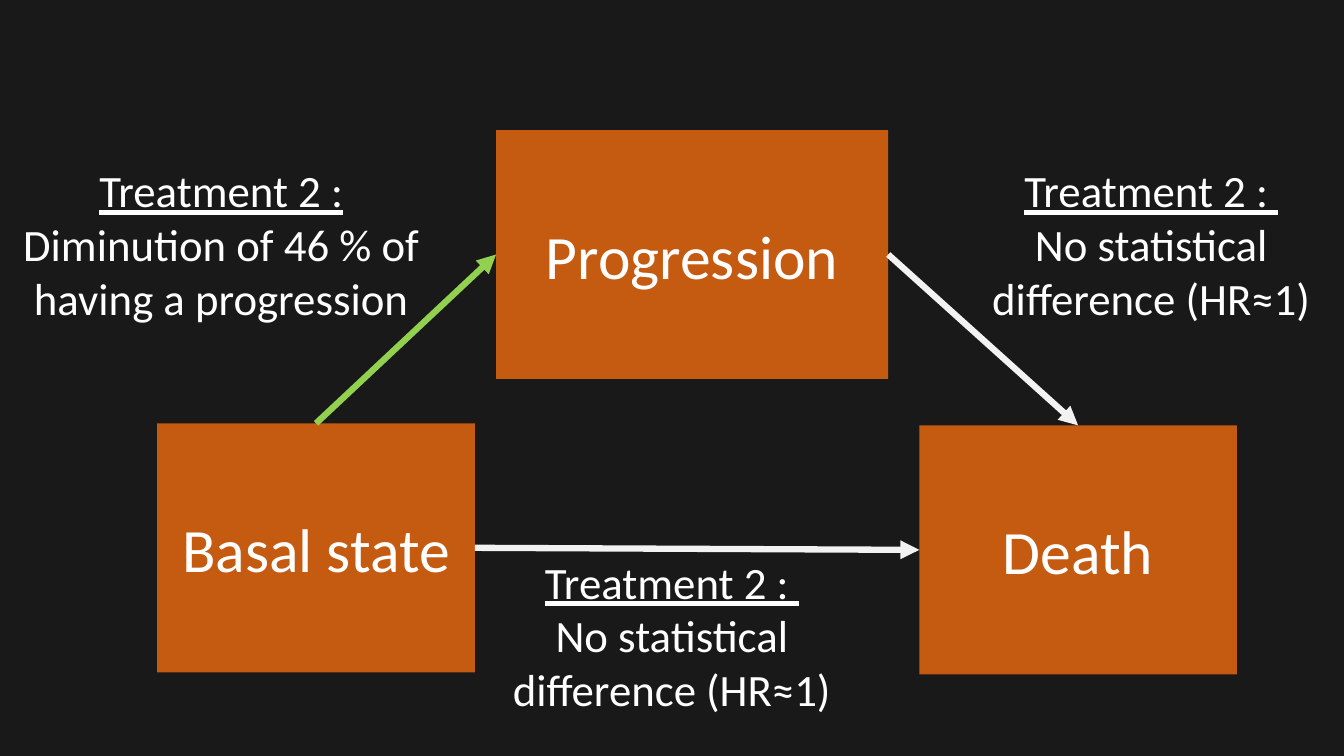
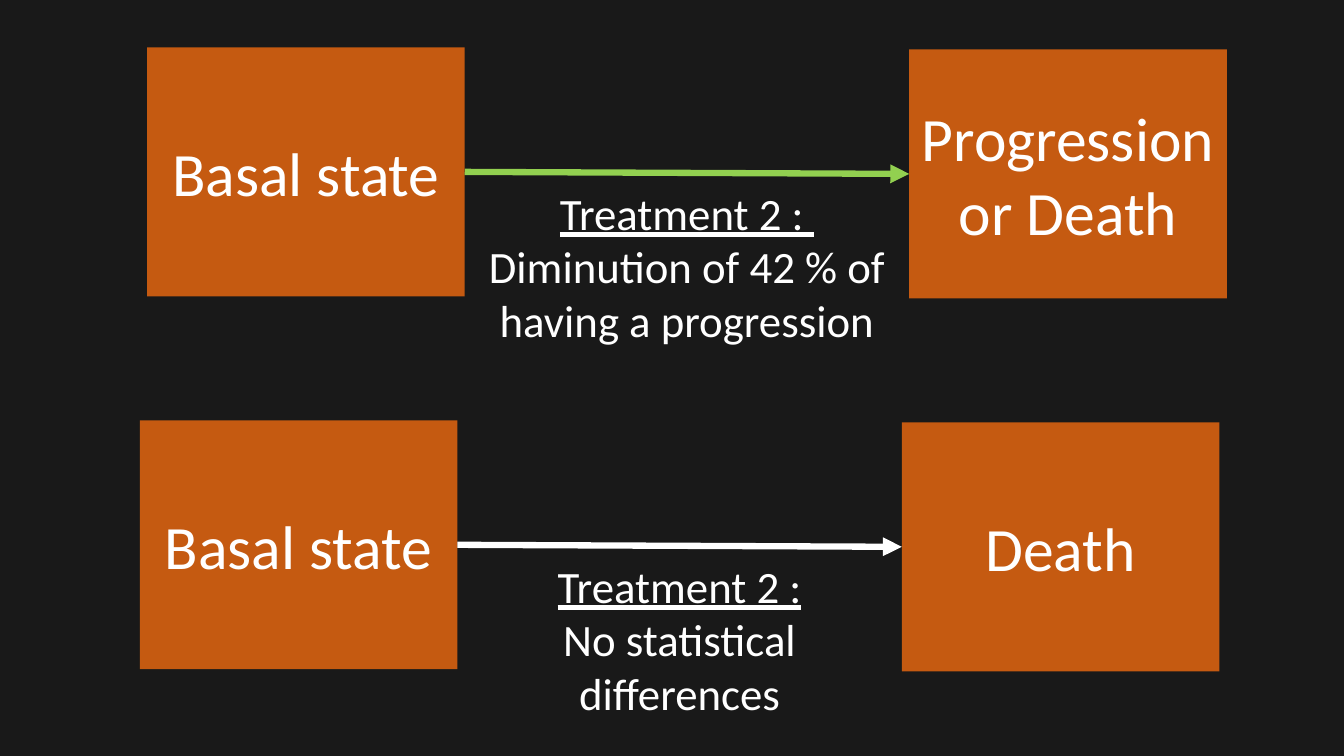
from dataclasses import dataclass

from lxml import etree
from pptx import Presentation
from pptx import util as u
from pptx.dml.color import RGBColor
from pptx.enum import shapes, text
from pptx.oxml.ns import qn

# Shared style
BACKGROUND, ORANGE, WHITE, PALE, GREEN = "191919", "C55A11", "FFFFFF", "F2F2F2", "92D050"
FONT = "Calibri"
SLIDE_W, SLIDE_H = u.Inches(13.33), u.Inches(7.5)

# Lengths are percentages of the slide's width (x) and height (y)
BOX_W, BOX_H = 23.63, 32.93
OUTCOME_DX, OUTCOME_DY = 56.7, 0.27
NOTE_DY, NOTE_W, NOTE_H = 17.6, 33.08, 22.93

# Connection sites of a rectangle
TOP, LEFT, RIGHT = 0, 1, 3


@dataclass
class State:
    label: str
    x: float
    y: float
    w: float = BOX_W


@dataclass
class Note:
    heading: str
    body: str
    x: float
    y: float
    w: float = NOTE_W


@dataclass
class Transition:
    outcome: str
    x: float
    y: float
    color: str
    note: Note


def rgb(value: str) -> RGBColor:
    return RGBColor.from_string(value)


def place(x: float, y: float, w: float, h: float) -> tuple:
    """Turn percentages of the slide into lengths."""
    return tuple(u.Emu(round(share * side / 100))
                 for share, side in zip((x, y, w, h), (SLIDE_W, SLIDE_H) * 2))


def write(p, content: str, *, size: int, color: str = WHITE, underline: bool = False) -> None:
    p.alignment = text.PP_ALIGN.CENTER
    r = p.add_run()
    r.text = content
    r.font.name, r.font.size = FONT, u.Pt(size)
    r.font.color.rgb = rgb(color)
    r.font.underline = underline


def add_state(slide, state: State):
    sp = slide.shapes.add_shape(shapes.MSO_SHAPE.RECTANGLE,
                                *place(state.x, state.y, state.w, BOX_H))
    sp.shadow.inherit = False
    sp.fill.solid()
    sp.fill.fore_color.rgb = rgb(ORANGE)
    sp.line.fill.background()
    tf = sp.text_frame
    tf.word_wrap = True
    tf.vertical_anchor = text.MSO_ANCHOR.MIDDLE
    write(tf.paragraphs[0], state.label, size=44)
    return sp


def add_note(slide, note: Note) -> None:
    tf = slide.shapes.add_textbox(*place(note.x, note.y, note.w, NOTE_H)).text_frame
    tf.word_wrap = True
    tf.auto_size = text.MSO_AUTO_SIZE.SHAPE_TO_FIT_TEXT
    write(tf.paragraphs[0], note.heading, size=32, underline=True)
    write(tf.add_paragraph(), note.body, size=32)


def add_arrow(slide, start, start_site: int, end, end_site: int, color: str) -> None:
    line = slide.shapes.add_connector(shapes.MSO_CONNECTOR.STRAIGHT, 0, 0, 0, 0)
    line.begin_connect(start, start_site)
    line.end_connect(end, end_site)
    line.line.color.rgb = rgb(color)
    line.line.width = u.Pt(4.5)
    etree.SubElement(line.line._get_or_add_ln(), qn("a:tailEnd"), type="triangle")
    etree.SubElement(line._element.spPr, qn("a:effectLst"))


def add_transition(slide, t: Transition) -> tuple:
    """Basal state, arrow to the outcome, and the note beneath the arrow."""
    outcome = add_state(slide, State(t.outcome, t.x + OUTCOME_DX, t.y + OUTCOME_DY))
    basal = add_state(slide, State("Basal state", t.x, t.y))
    add_arrow(slide, basal, RIGHT, outcome, LEFT, t.color)
    add_note(slide, t.note)
    return basal, outcome


def add_three_state_slide(slide) -> None:
    no_difference = "No statistical difference (HR≈1)"
    basal, death = add_transition(slide, Transition(
        "Death", 11.7, 56, PALE, Note("Treatment 2 : ", no_difference, 33.46, 72.67)))
    progression = add_state(slide, State("Progression", 36.91, 17.2, 29.18))
    add_arrow(slide, basal, TOP, progression, LEFT, GREEN)
    add_arrow(slide, progression, RIGHT, death, TOP, PALE)
    add_note(slide, Note("Treatment 2 :", "Diminution of 46 % of having a progression",
                         0, 20.93, 32.93))
    add_note(slide, Note("Treatment 2 : ", no_difference, 71.34, 20.93, 28.66))


def add_two_state_slide(slide) -> None:
    rows = (
        ("Progression or Death", 10.95, 6.27, GREEN,
         "Treatment 2 : ", "Diminution of 42 % of having a progression"),
        ("Death", 10.4, 55.6, WHITE, "Treatment 2 :", "No statistical differences"),
    )
    for outcome, x, y, color, heading, body in rows:
        note = Note(heading, body, x + BOX_W, y + NOTE_DY)
        add_transition(slide, Transition(outcome, x, y, color, note))


def main() -> None:
    prs = Presentation()
    prs.slide_width, prs.slide_height = SLIDE_W, SLIDE_H
    fill = prs.slide_master.background.fill
    fill.solid()
    fill.fore_color.rgb = rgb(BACKGROUND)
    blank = prs.slide_layouts.get_by_name("Blank")
    for build in (add_three_state_slide, add_two_state_slide):
        build(prs.slides.add_slide(blank))
    prs.save("out.pptx")


if __name__ == "__main__":
    main()
